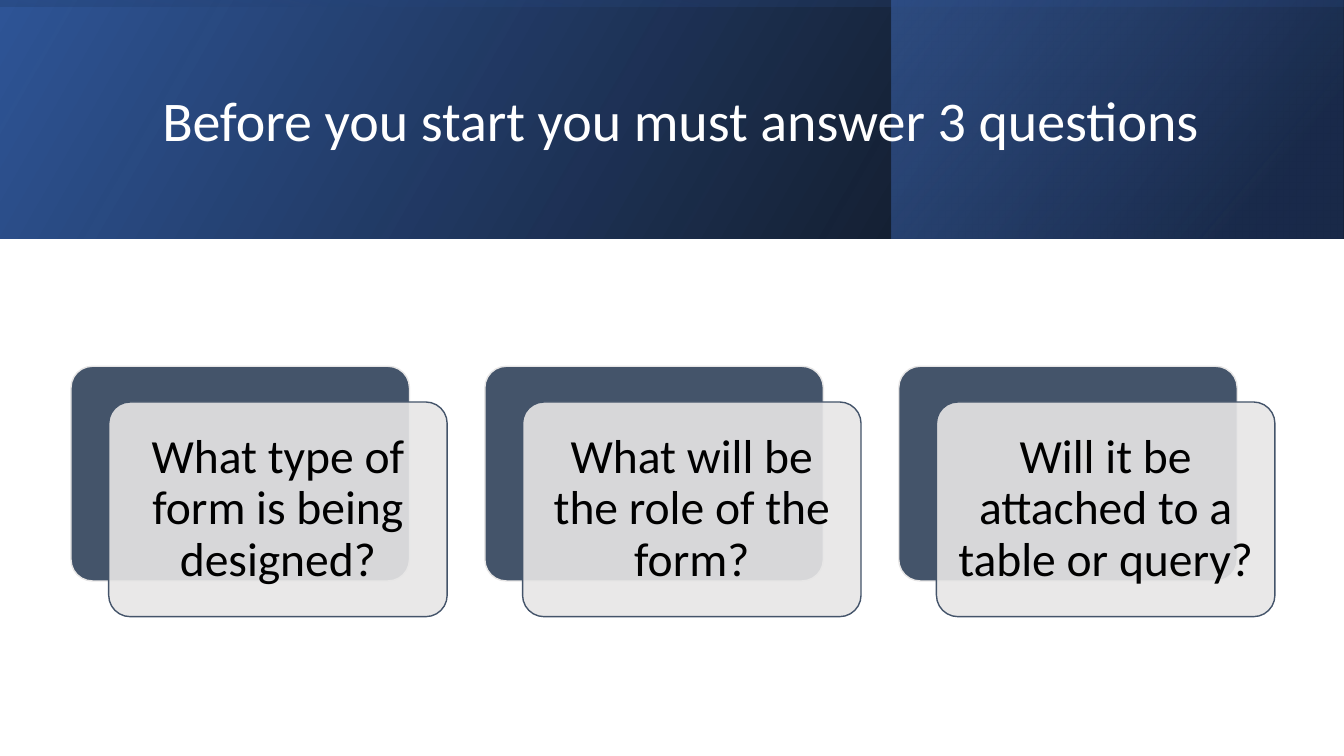
from lxml import etree
from pptx import Presentation
from pptx import util as u
from pptx.dml.color import RGBColor
from pptx.enum import shapes, text
from pptx.oxml.ns import qn

COLOURS = {
    "black": "000000",
    "white": "FFFFFF",
    "blue": "2F5597",
    "navy": "203864",
    "bright": "4472C4",
    "slate": "44546A",
    "light": "E7E6E6",
}
FONT = "Calibri"
SLIDE_WIDTH, SLIDE_HEIGHT = 33.87, 19.05
BAND_HEIGHT = 6.02
QUESTIONS = [
    "What type of form is being designed?",
    "What will be the role of the form?",
    "Will it be attached to a table or query?",
]


def colour(name):
    return RGBColor.from_string(COLOURS[name])


def set_alpha(colour_element, percent):
    etree.SubElement(colour_element, qn("a:alpha"), val=str(percent * 1000))


def add_box(slide, kind, left, top, width, height):
    shape = slide.shapes.add_shape(
        kind, u.Cm(left), u.Cm(top), u.Cm(width), u.Cm(height))
    shape.shadow.inherit = False
    return shape


def add_gradient(slide, left, top, width, height, stops, angle, rotation=0):
    shape = add_box(slide, shapes.MSO_SHAPE.RECTANGLE, left, top, width, height)
    shape.line.fill.background()
    shape.rotation = rotation
    properties = shape._element.spPr
    properties.find(qn("a:xfrm")).set("flipH", "1")
    gradient = etree.Element(qn("a:gradFill"), rotWithShape="1")
    stop_list = etree.SubElement(gradient, qn("a:gsLst"))
    for position, name, opacity in stops:
        stop = etree.SubElement(stop_list, qn("a:gs"), pos=str(position * 1000))
        set_alpha(etree.SubElement(stop, qn("a:srgbClr"), val=COLOURS[name]), opacity)
    etree.SubElement(gradient, qn("a:lin"), ang=str(angle * 60000), scaled="0")
    properties.find(qn("a:prstGeom")).addnext(gradient)


def write(shape, wording, size, name, alignment):
    frame = shape.text_frame
    frame.word_wrap = True
    frame.vertical_anchor = text.MSO_ANCHOR.MIDDLE
    paragraph = frame.paragraphs[0]
    paragraph.text = wording
    paragraph.alignment = alignment
    paragraph.line_spacing = 0.9
    paragraph.font.name = FONT
    paragraph.font.size = u.Pt(size)
    paragraph.font.color.rgb = colour(name)
    return frame


def add_header(slide, left, top, width, height):
    add_gradient(slide, left, top, width, height,
                 [(0, "black", 96), (100, "blue", 100)], 330)
    panel_offset = 22.46
    add_gradient(slide, left + panel_offset, top, width - panel_offset - 0.02, height,
                 [(19, "navy", 68), (100, "bright", 48)], 320)
    shift = (width - height) / 2
    add_gradient(slide, left + shift, top - shift, height, width,
                 [(23, "blue", 16), (99, "black", 45)], 350, rotation=270)
    title = slide.shapes.add_textbox(
        u.Cm(left + 3.84), u.Cm(top + 0.97), u.Cm(27), u.Cm(4.27))
    write(title, "Before you start you must answer 3 questions", 40,
          "white", text.PP_ALIGN.LEFT)


def add_card(slide, left, top, width, height, fill, line):
    card = add_box(slide, shapes.MSO_SHAPE.ROUNDED_RECTANGLE, left, top, width, height)
    card.adjustments[0] = 0.1
    card.fill.solid()
    card.fill.fore_color.rgb = colour(fill)
    card.line.color.rgb = colour(line)
    card.line.width = u.Pt(1)
    return card


def add_question(slide, left, top, width, height, wording):
    add_card(slide, left, top, width, height, "slate", "light")
    card = add_card(slide, left + 0.95, top + 0.9, width, height, "light", "slate")
    set_alpha(card._element.spPr.find(f"{qn('a:solidFill')}/{qn('a:srgbClr')}"), 90)
    frame = write(card, wording, 34, "black", text.PP_ALIGN.CENTER)
    frame.margin_left = frame.margin_right = u.Cm(0.36)
    frame.margin_top = frame.margin_bottom = u.Cm(0.36)


def add_questions(slide, left, top, pitch):
    for index, wording in enumerate(QUESTIONS):
        add_question(slide, left + index * pitch, top, 8.53, 5.41, wording)


def main():
    presentation = Presentation()
    presentation.slide_width = u.Cm(SLIDE_WIDTH)
    presentation.slide_height = u.Cm(SLIDE_HEIGHT)
    slide = presentation.slides.add_slide(presentation.slide_layouts[6])
    add_header(slide, 0, 0, SLIDE_WIDTH, BAND_HEIGHT)
    add_questions(slide, 1.79, 9.23, 10.43)
    presentation.save("out.pptx")


if __name__ == "__main__":
    main()
